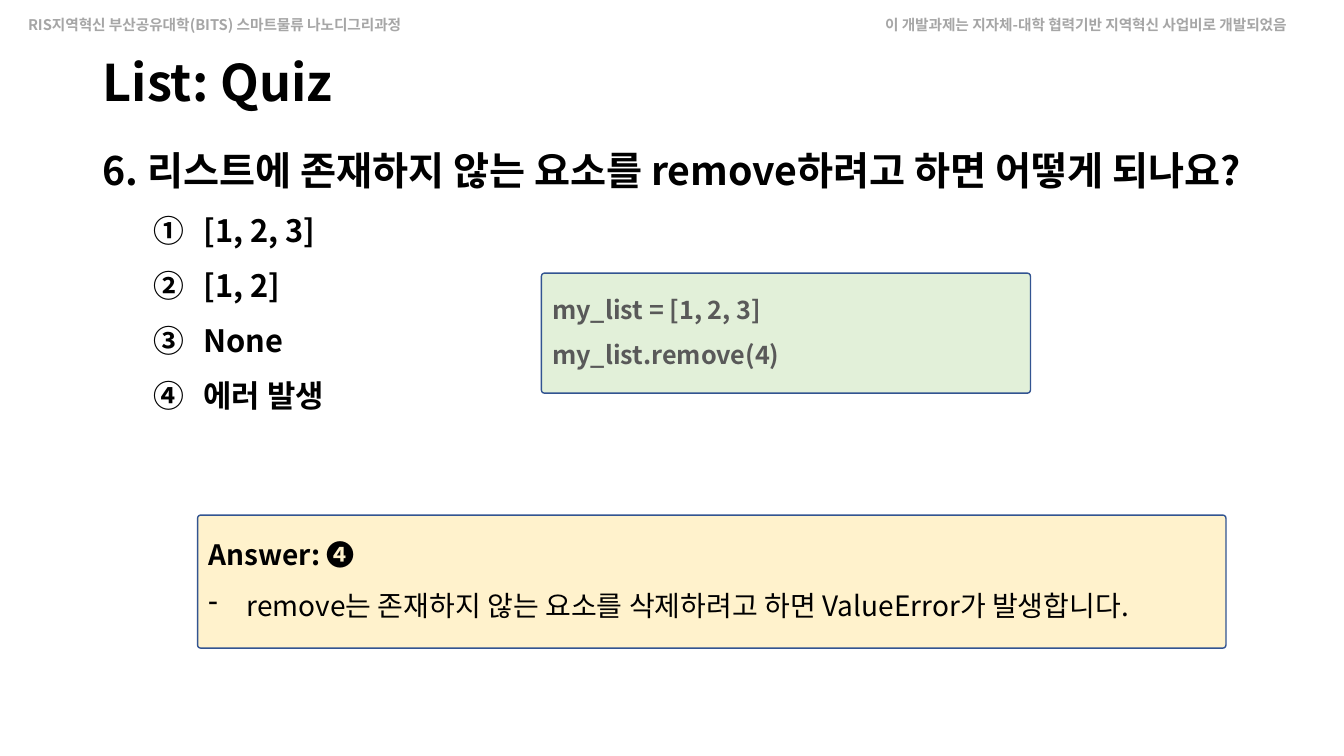
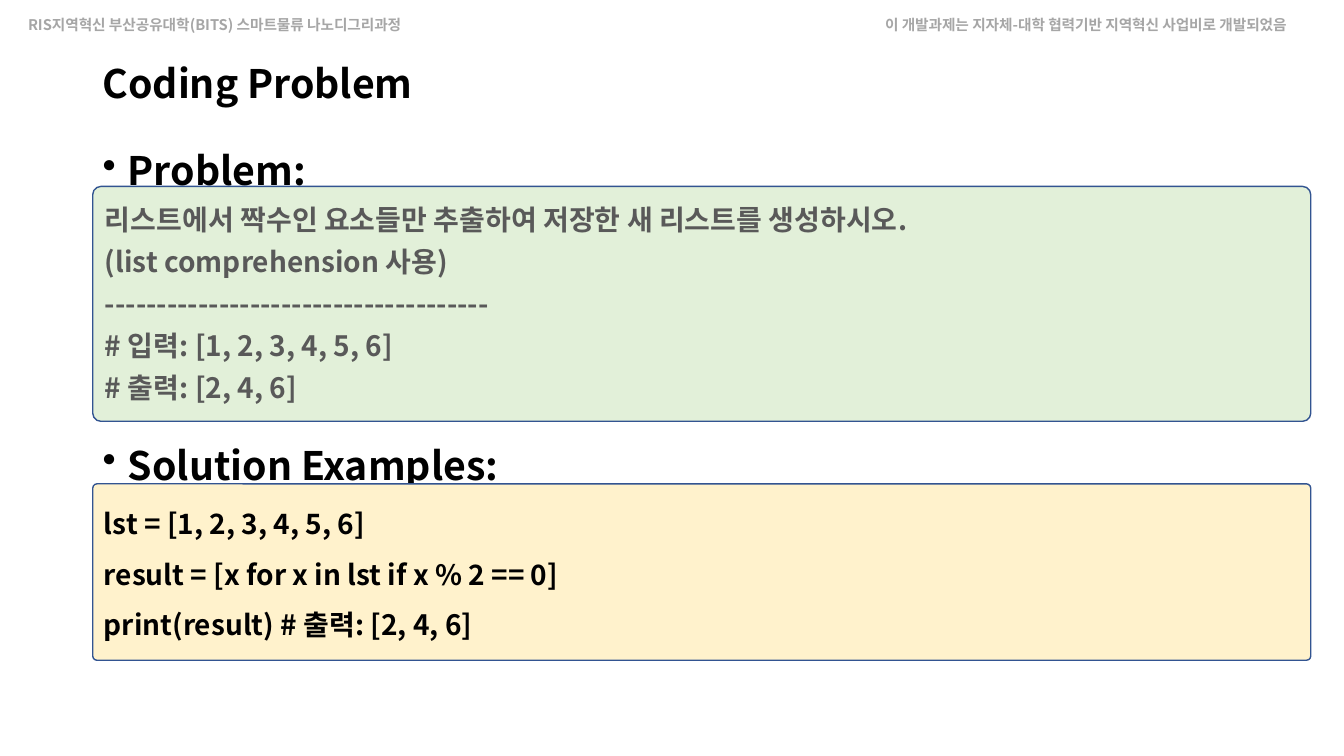
"""Build two Python list lesson slides: a quiz and a coding problem."""
from dataclasses import dataclass

from lxml.etree import SubElement
from pptx import Presentation
from pptx.dml.color import RGBColor
from pptx.enum.shapes import MSO_SHAPE
from pptx.enum.text import MSO_ANCHOR
from pptx.oxml.ns import qn
from pptx.util import Inches, Length, Pt

FONT = "Noto Sans CJK KR"
COLORS = {
    "ink": "000000",
    "code": "595959",
    "notice": "A6A6A6",
    "green": "E2F0D9",
    "cream": "FFF2CC",
    "outline": "325491",
}


@dataclass(frozen=True)
class Style:
    size: float
    color: str = "ink"
    spacing: float | Length = 1.5
    bold: bool = True


@dataclass(frozen=True)
class Bullet:
    tag: str
    attribute: str
    value: str
    left: float
    hanging: float
    level: int = 0


@dataclass(frozen=True)
class Line:
    text: str
    style: Style
    bullet: Bullet | None = None
    before: float = 0


@dataclass(frozen=True)
class Area:
    left: float
    top: float
    width: float
    height: float


@dataclass(frozen=True)
class Panel:
    area: Area
    fill: str
    radius: float
    lines: list[Line]


@dataclass(frozen=True)
class Lesson:
    title: Line
    body_area: Area
    body: list[Line]
    panels: list[Panel]


NOTICE = Style(10.5, "notice", 1.0)
HEADING = Style(28)
CHOICE = Style(22, spacing=1.3)
SNIPPET = Style(18, "code")
TASK = Style(20, "code", Pt(30))
ANSWER = Style(20)
EXPLANATION = Style(20, bold=False)

DOT = Bullet("a:buChar", "char", "•", 0.25, 0.25)
DASH = Bullet("a:buChar", "char", "-", 0.38, 0.38)
CIRCLED = Bullet("a:buAutoNum", "type", "circleNumDbPlain", 1, 0.5, 1)

TITLE_AREA = Area(0.92, 0.4, 11.5, 0.9)
NOTICES = [
    (Area(0.18, 0.11, 4.24, 0.28), "RIS지역혁신 부산공유대학(BITS) 스마트물류 나노디그리과정"),
    (Area(8.68, 0.11, 4.66, 0.28), "이 개발과제는 지자체-대학 협력기반 지역혁신 사업비로 개발되었음"),
]

LESSONS = [
    Lesson(
        Line("List: Quiz", Style(36, spacing=0.9)),
        Area(0.92, 1.17, 12.28, 6.33),
        [
            Line("6. 리스트에 존재하지 않는 요소를 remove하려고 하면 어떻게 되나요?", HEADING),
            *(Line(choice, CHOICE, CIRCLED, 5)
              for choice in ("[1, 2, 3]", "[1, 2]", "None", "에러 발생")),
        ],
        [
            Panel(Area(1.96, 5.11, 10.2, 1.32), "cream", 0.024, [
                Line("Answer: ❹", ANSWER),
                Line("remove는 존재하지 않는 요소를 삭제하려고 하면 ValueError가 발생합니다.",
                     EXPLANATION, DASH),
            ]),
            Panel(Area(5.37, 2.71, 4.85, 1.19), "green", 0.025, [
                Line("my_list = [1, 2, 3]", SNIPPET),
                Line("my_list.remove(4)", SNIPPET),
            ]),
        ],
    ),
    Lesson(
        Line("Coding Problem", Style(28, spacing=0.9)),
        Area(0.92, 1.17, 12.08, 6.33),
        [
            Line("Problem:", HEADING, DOT),
            Line("Solution Examples:", HEADING, DOT, 160),
        ],
        [
            Panel(Area(0.92, 1.85, 12.08, 2.33), "green", 0.034, [
                Line(text, TASK) for text in (
                    "리스트에서 짝수인 요소들만 추출하여 저장한 새 리스트를 생성하시오.",
                    "(list comprehension 사용)",
                    "-------------------------------------",
                    "# 입력: [1, 2, 3, 4, 5, 6]",
                    "# 출력: [2, 4, 6]",
                )
            ]),
            Panel(Area(0.92, 4.8, 12.08, 1.75), "cream", 0.024, [
                Line(text, ANSWER) for text in (
                    "lst = [1, 2, 3, 4, 5, 6]",
                    "result = [x for x in lst if x % 2 == 0]",
                    "print(result) # 출력: [2, 4, 6]",
                )
            ]),
        ],
    ),
]


def color(name: str) -> RGBColor:
    return RGBColor.from_string(COLORS[name])


def place(area: Area) -> tuple[Length, ...]:
    return tuple(Inches(n) for n in (area.left, area.top, area.width, area.height))


def add_bullet(para, bullet: Bullet) -> None:
    para.level = bullet.level
    properties = para._p.get_or_add_pPr()
    properties.set("marL", str(Inches(bullet.left)))
    properties.set("indent", str(-Inches(bullet.hanging)))
    SubElement(properties, qn(bullet.tag)).set(bullet.attribute, bullet.value)


def write(box, lines: list[Line], anchor=MSO_ANCHOR.TOP, wrap: bool = True) -> None:
    frame = box.text_frame
    frame.word_wrap = wrap
    frame.vertical_anchor = anchor
    for index, line in enumerate(lines):
        para = frame.add_paragraph() if index else frame.paragraphs[0]
        if line.bullet:
            add_bullet(para, line.bullet)
        para.line_spacing = line.style.spacing
        para.space_before = Pt(line.before)
        para.alignment = 1
        span = para.add_run()
        span.text = line.text
        span.font.size = Pt(line.style.size)
        span.font.bold = line.style.bold
        span.font.color.rgb = color(line.style.color)
        span.font.name = FONT
        SubElement(span._r.get_or_add_rPr(), qn("a:ea")).set("typeface", FONT)


def add_text(page, area: Area, lines: list[Line], **options) -> None:
    write(page.shapes.add_textbox(*place(area)), lines, **options)


def add_panel(page, panel: Panel) -> None:
    box = page.shapes.add_shape(MSO_SHAPE.ROUNDED_RECTANGLE, *place(panel.area))
    box.adjustments[0] = panel.radius
    box.shadow.inherit = False
    box.fill.solid()
    box.fill.fore_color.rgb = color(panel.fill)
    box.line.color.rgb = color("outline")
    box.line.width = Pt(1)
    write(box, panel.lines)


def add_lesson(deck, lesson: Lesson) -> None:
    page = deck.slides.add_slide(deck.slide_layouts[6])
    for area, text in NOTICES:
        add_text(page, area, [Line(text, NOTICE)])
    add_text(page, TITLE_AREA, [lesson.title], anchor=MSO_ANCHOR.MIDDLE)
    add_text(page, lesson.body_area, lesson.body)
    for panel in lesson.panels:
        add_panel(page, panel)


def main() -> None:
    deck = Presentation()
    deck.slide_width = Inches(13.33)
    deck.slide_height = Inches(7.5)
    for lesson in LESSONS:
        add_lesson(deck, lesson)
    deck.save("out.pptx")


if __name__ == "__main__":
    main()
